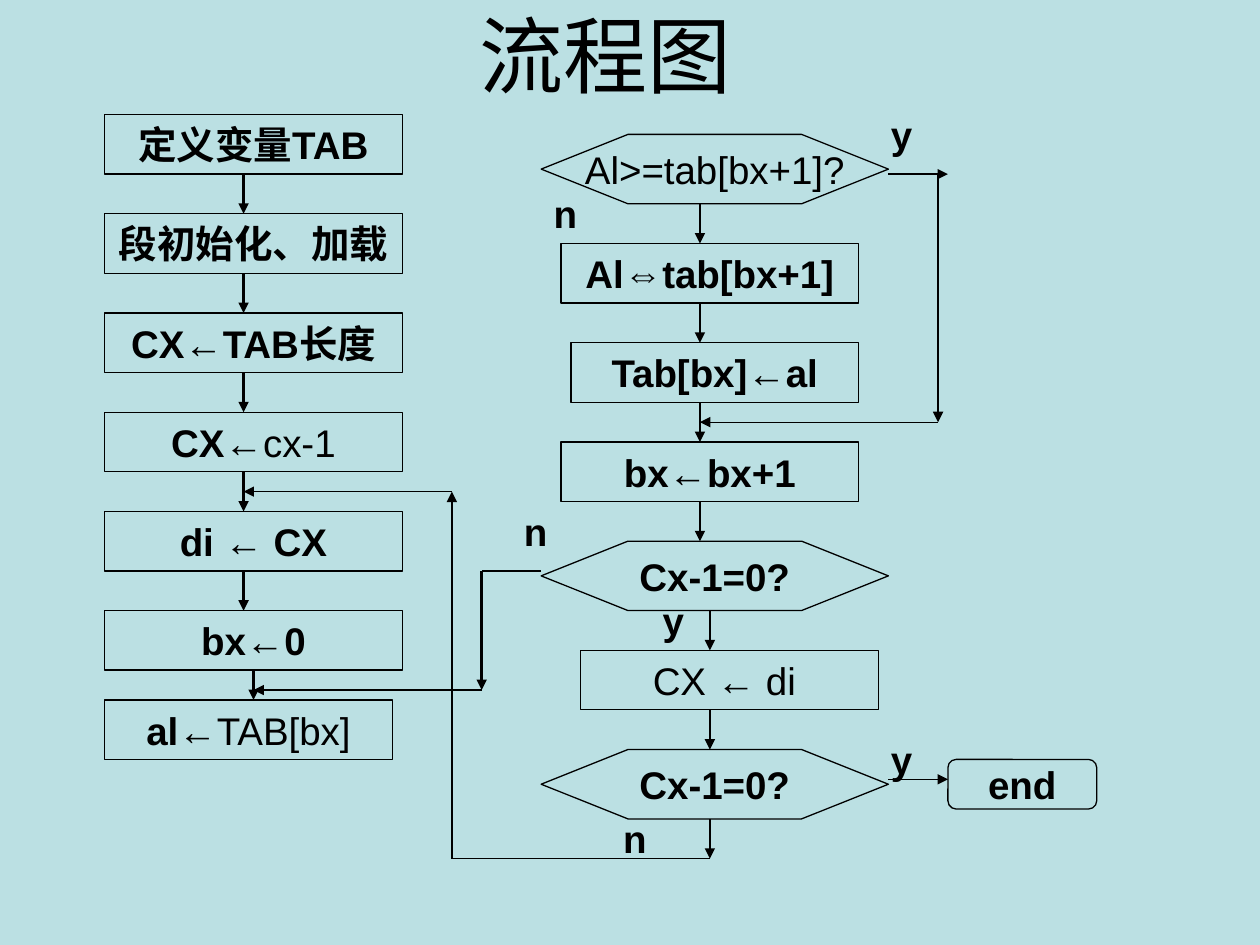
from dataclasses import dataclass

from lxml import etree
from pptx import Presentation
from pptx import util as u
from pptx.dml.color import RGBColor
from pptx.enum import shapes, text
from pptx.oxml.ns import qn


@dataclass(frozen=True)
class Theme:
    back: RGBColor = RGBColor(0xBB, 0xE0, 0xE3)
    ink: RGBColor = RGBColor(0, 0, 0)
    font: str = "Arial"
    title: int = 48
    body: int = 22
    thin: float = 0.75
    thick: float = 1.5


T = Theme()
CELL, ORIGIN = u.Cm(0.2), u.Cm(0.11)
RECT = shapes.MSO_SHAPE.RECTANGLE
HEX = shapes.MSO_SHAPE.HEXAGON
ROUND = shapes.MSO_SHAPE.ROUNDED_RECTANGLE

TITLE = "流程图"
LEFT_STEPS = [
    [("定义变量TAB", True)],
    [("段初始化、加载", True)],
    [("CX←TAB长度", True)],
    [("CX←", True), ("cx-1", False)],
    [("di ← CX", True)],
    [("bx←0", True)],
]
LEFT_COL, LEFT_ROW, LEFT_PITCH = 10, 11, 10
OTHER_STEPS = [
    (RECT, 10, 70, 29, 6, [("al←", True), ("TAB[bx]", False)]),
    (HEX, 54, 13, 35, 7, [("Al>=tab[bx+1]?", False)]),
    (RECT, 56, 24, 30, 6, [("Al⇔tab[bx+1]", True)]),
    (RECT, 57, 34, 29, 6, [("Tab[bx]←al", True)]),
    (RECT, 56, 44, 30, 6, [("bx←bx+1", True)]),
    (HEX, 54, 54, 35, 7, [("Cx-1=0?", True)]),
    (RECT, 58, 65, 30, 6, [("CX ← di ", False)]),
    (HEX, 54, 75, 35, 7, [("Cx-1=0?", True)]),
    (ROUND, 95, 76, 15, 5, [("end", True)]),
]
LABELS = [("y", 88, 10, 6), ("n", 54, 18, 6), ("y", 65, 59, 5),
          ("y", 88, 73, 6), ("n", 51, 50, 6), ("n", 61, 81, 6)]
DOWN_ARROWS = [
    (24, [(17, 21), (27, 31), (37, 41), (47, 51), (57, 61)]),
    (25, [(67, 70)]),
    (70, [(20, 24), (30, 34), (40, 44), (50, 54)]),
    (71, [(61, 65), (71, 75), (82, 86)]),
]
BRANCHES = [
    ((89, 78), (95, 78), T.thin, True),
    ((71, 86), (45, 86), T.thin, False),
    ((45, 86), (45, 49), T.thin, True),
    ((45, 49), (24, 49), T.thin, True),
    ((54, 57), (48, 57), T.thin, False),
    ((48, 57), (48, 69), T.thick, True),
    ((48, 69), (25, 69), T.thin, True),
    ((89, 17), (95, 17), T.thin, True),
    ((94, 17), (94, 42), T.thick, True),
    ((94, 42), (70, 42), T.thin, True),
]


def at(n):
    return ORIGIN + n * CELL


def write(tf, runs, size, align, **frame):
    for key, value in frame.items():
        setattr(tf, key, value)
    p = tf.paragraphs[0]
    p.alignment = align
    for words, bold in runs:
        r = p.add_run()
        r.text = words
        for key, value in dict(name=T.font, size=u.Pt(size), bold=bold).items():
            setattr(r.font, key, value)
        r.font.color.rgb = T.ink


def add_step(slide, sites, kind, col, row, w, h, runs):
    sp = slide.shapes.add_shape(kind, at(col), at(row), w * CELL, h * CELL)
    sp.shadow.inherit = False
    sp.fill.background()
    sp.line.color.rgb = T.ink
    sp.line.width = u.Pt(T.thin)
    if kind == HEX:
        sp.adjustments[0] = 1.25
    else:
        middles = [(col + w / 2, row), (col, row + h / 2),
                   (col + w / 2, row + h), (col + w, row + h / 2)]
        sites.update({point: (sp, i) for i, point in enumerate(middles)})
    write(sp.text_frame, runs, T.body, text.PP_ALIGN.CENTER,
          word_wrap=False, vertical_anchor=text.MSO_ANCHOR.MIDDLE)


def add_line(slide, sites, start, end, width, arrow):
    line = slide.shapes.add_connector(
        shapes.MSO_CONNECTOR.STRAIGHT, *map(at, start), *map(at, end))
    if start in sites:
        line.begin_connect(*sites[start])
    if end in sites:
        line.end_connect(*sites[end])
    line.line.color.rgb = T.ink
    line.line.width = u.Pt(width)
    if arrow:
        etree.SubElement(line.line._get_or_add_ln(), qn("a:tailEnd"), type="triangle")
    etree.SubElement(line._element.spPr, qn("a:effectLst"))


def main():
    prs = Presentation()
    prs.slide_width, prs.slide_height = u.Inches(10), u.Inches(7.5)
    slide = prs.slides.add_slide(prs.slide_layouts[5])
    slide.background.fill.solid()
    slide.background.fill.fore_color.rgb = T.back

    title = slide.shapes.title
    box = dict(left=2.64, top=0, width=4.33, height=0.85)
    for key, value in box.items():
        setattr(title, key, u.Inches(value))
    write(title.text_frame, [(TITLE, False)], T.title, text.PP_ALIGN.CENTER,
          vertical_anchor=text.MSO_ANCHOR.MIDDLE, auto_size=text.MSO_AUTO_SIZE.NONE)

    sites = {}
    for i, runs in enumerate(LEFT_STEPS):
        add_step(slide, sites, RECT, LEFT_COL, LEFT_ROW + i * LEFT_PITCH, 30, 6, runs)
    for step in OTHER_STEPS:
        add_step(slide, sites, *step)

    for words, col, row, w in LABELS:
        sp = slide.shapes.add_textbox(at(col), at(row), w * CELL, 6 * CELL)
        write(sp.text_frame, [(words, True)], T.body, text.PP_ALIGN.LEFT, word_wrap=True)

    for col, spans in DOWN_ARROWS:
        for top, bottom in spans:
            add_line(slide, sites, (col, top), (col, bottom), T.thick, True)
    for branch in BRANCHES:
        add_line(slide, sites, *branch)

    prs.save("out.pptx")


if __name__ == "__main__":
    main()
